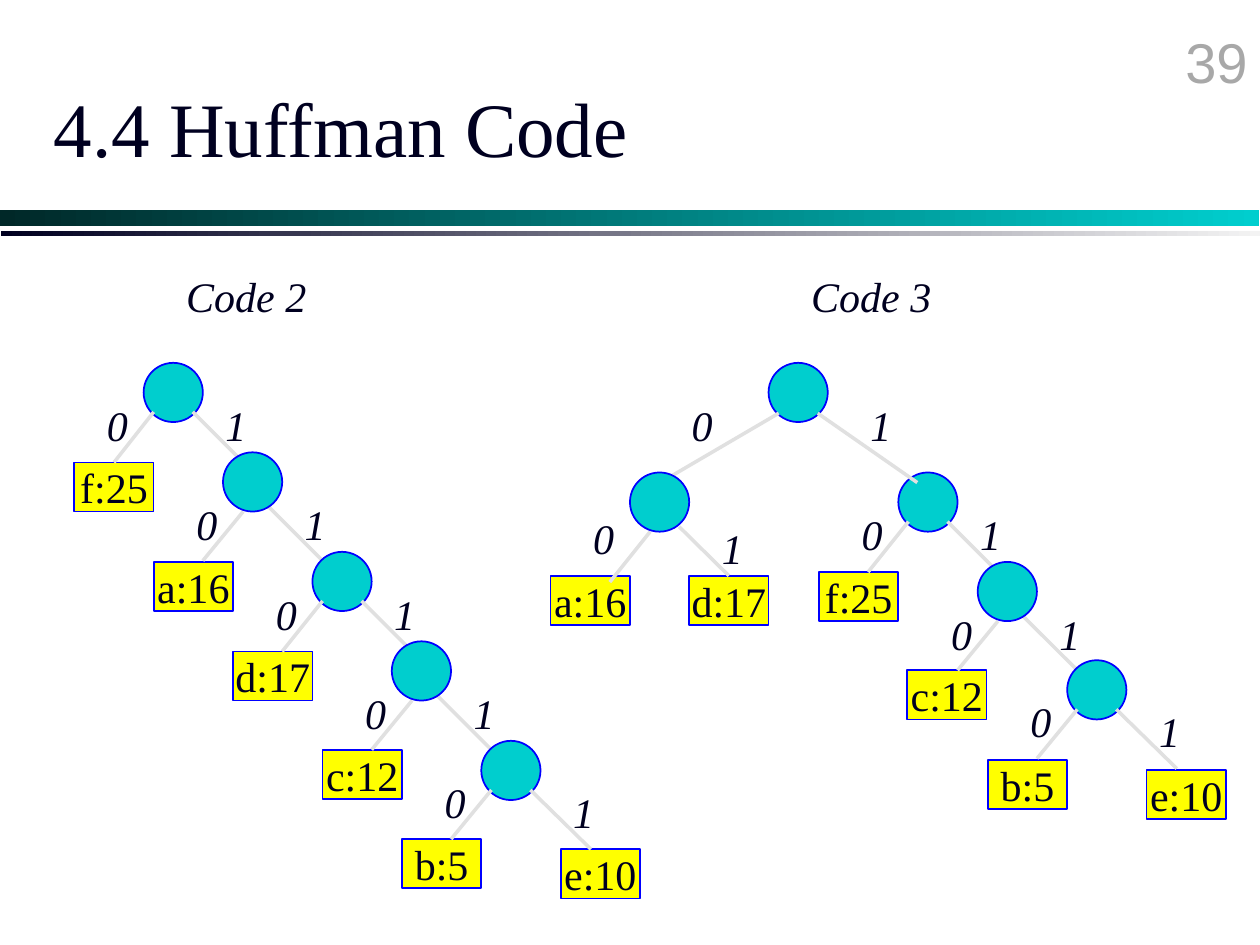
from lxml.etree import SubElement
from pptx import Presentation
from pptx.dml.color import RGBColor
from pptx.enum.shapes import MSO_CONNECTOR, MSO_SHAPE
from pptx.enum.text import MSO_ANCHOR, PP_ALIGN
from pptx.oxml.ns import qn
from pptx.util import Inches, Pt

INK = RGBColor(0x00, 0x00, 0x20)
GRAY = RGBColor(0xA8, 0xA8, 0xA8)
PALE = RGBColor(0xE0, 0xE0, 0xE0)
WHITE = RGBColor(0xF3, 0xF3, 0xF3)
BLUE = RGBColor(0x00, 0x00, 0xFF)
CYAN = RGBColor(0x00, 0xCE, 0xCE)
TEAL = RGBColor(0x00, 0x28, 0x28)
GOLD = RGBColor(0xFF, 0xFF, 0x00)

BARS = [
    (0, 1.67, 9.99, 0.12, TEAL, CYAN),
    (0.01, 1.83, 9.99, 0.04, INK, WHITE),
]
HEADS = [("Code 2", 1.38), ("Code 3", 6.34)]
LEAVES = [
    ("f:25", 0.59, 3.67), ("a:16", 1.22, 4.46), ("d:17", 1.85, 5.17),
    ("c:12", 2.56, 5.95), ("b:5", 3.19, 6.66), ("e:10", 4.45, 6.74),
    ("a:16", 4.37, 4.57), ("d:17", 5.47, 4.57), ("f:25", 6.5, 4.54),
    ("c:12", 7.2, 5.32), ("b:5", 7.84, 6.03), ("e:10", 9.1, 6.11),
]
STEP = [
    ("knob", 0, 0),
    ("line", 0.08, 0.39, -0.24, 0.79),
    ("line", 0.39, 0.39, 0.79, 0.79),
    ("line", 0.79, 1.18, 0.47, 1.57),
    ("line", 0.95, 1.1, 1.42, 1.57),
    ("knob", 0.63, 0.71),
    ("bit", "0", -0.39, 0.24),
    ("bit", "1", 0.55, 0.24),
    ("bit", "0", 0.32, 1.03),
    ("bit", "1", 1.18, 1.03),
]
TAIL = [
    ("knob", 0, 0),
    ("line", 0.08, 0.39, -0.24, 0.78),
    ("line", 0.39, 0.39, 0.87, 0.86),
    ("bit", "0", -0.39, 0.23),
    ("bit", "1", 0.63, 0.31),
]
TOP = [
    ("knob", 0, 0),
    ("line", 0.08, 0.4, -0.86, 0.95),
    ("line", 0.39, 0.4, 1.18, 0.95),
    ("bit", "0", -0.71, 0.24),
    ("bit", "1", 0.71, 0.24),
]
FORK = [
    ("line", 0.16, 0.47, -0.16, 0.87),
    ("line", 0.39, 0.43, 0.78, 0.82),
    ("knob", 0, 0),
    ("bit", "0", -0.39, 0.27),
    ("bit", "1", 0.63, 0.35),
]
PARTS = [
    (STEP, 1.14, 2.88), (STEP, 2.48, 4.38), (TAIL, 3.82, 5.88),
    (STEP, 7.13, 3.75), (TAIL, 8.47, 5.24),
    (TOP, 6.1, 2.88), (FORK, 5, 3.75),
]
ROMAN = {"name": "Times New Roman", "size": Pt(24)}
SLOPE = {**ROMAN, "italic": True}
TITLE = {**ROMAN, "size": Pt(44)}
PAGE = {"name": "Arial", "size": Pt(32)}
NODE = 0.47
WIDE, HIGH = 0.63, 0.39

deck = Presentation()
deck.slide_width, deck.slide_height = Inches(10), Inches(7.5)
slide = deck.slides.add_slide(deck.slide_layouts[6])
shapes = slide.shapes


def box(left, top, wide, high):
    return [Inches(v) for v in (left, top, wide, high)]


def write(shape, text, style, color=INK, align=PP_ALIGN.LEFT,
          anchor=MSO_ANCHOR.TOP, wrap=True):
    frame = shape.text_frame
    frame.word_wrap = wrap
    frame.vertical_anchor = anchor
    para = frame.paragraphs[0]
    para.alignment = align
    run = para.add_run()
    run.text = text
    for key, value in style.items():
        setattr(run.font, key, value)
    run.font.color.rgb = color


def label(text, place, style, **rest):
    write(shapes.add_textbox(*box(*place)), text, style, **rest)


def solid(kind, place, color):
    shape = shapes.add_shape(kind, *box(*place))
    shape.shadow.inherit = False
    shape.fill.solid()
    shape.fill.fore_color.rgb = color
    shape.line.color.rgb = BLUE
    shape.line.width = Pt(1)
    return shape


def knob(x, y, left, top):
    solid(MSO_SHAPE.OVAL, (x + left, y + top, NODE, NODE), CYAN)


def bit(x, y, text, left, top):
    label(text, (x + left, y + top, 0.55, 0.5), SLOPE)


def line(x, y, *ends):
    x1, y1, x2, y2 = x + ends[0], y + ends[1], x + ends[2], y + ends[3]
    link = shapes.add_connector(
        MSO_CONNECTOR.STRAIGHT, *box(x1, y1, x2, y2))
    link.line.color.rgb = PALE
    link.line.width = Pt(2)
    SubElement(link._element.spPr, qn("a:effectLst"))
    for leaf, mid, top in tops:
        if abs(mid - x2) < 0.02 and abs(top - y2) < 0.02:
            link.end_connect(leaf, 0)


for *place, start, stop in BARS:
    bar = shapes.add_shape(MSO_SHAPE.RECTANGLE, *box(*place))
    bar.shadow.inherit = False
    bar.line.fill.background()
    bar.fill.gradient()
    bar.fill.gradient_angle = 0
    for point, spot, color in zip(bar.fill.gradient_stops, (0, 1), (start, stop)):
        point.position = spot
        point.color.rgb = color

label("39", (7.92, 0.17, 2.08, 0.5), PAGE, color=GRAY, align=PP_ALIGN.RIGHT)
label("4.4 Huffman Code", (0.33, 0.38, 8.5, 1.25), TITLE,
      anchor=MSO_ANCHOR.MIDDLE)
for text, left in HEADS:
    label(text, (left, 2.1, 1.3, 0.5), SLOPE)

tops = []
for text, left, top in LEAVES:
    leaf = solid(MSO_SHAPE.RECTANGLE, (left, top, WIDE, HIGH), GOLD)
    write(leaf, text, ROMAN, align=PP_ALIGN.CENTER,
          anchor=MSO_ANCHOR.MIDDLE, wrap=False)
    tops.append((leaf, left + WIDE / 2, top))

DRAW = {"knob": knob, "line": line, "bit": bit}
for part, x, y in PARTS:
    for kind, *data in part:
        DRAW[kind](x, y, *data)

deck.save("out.pptx")
